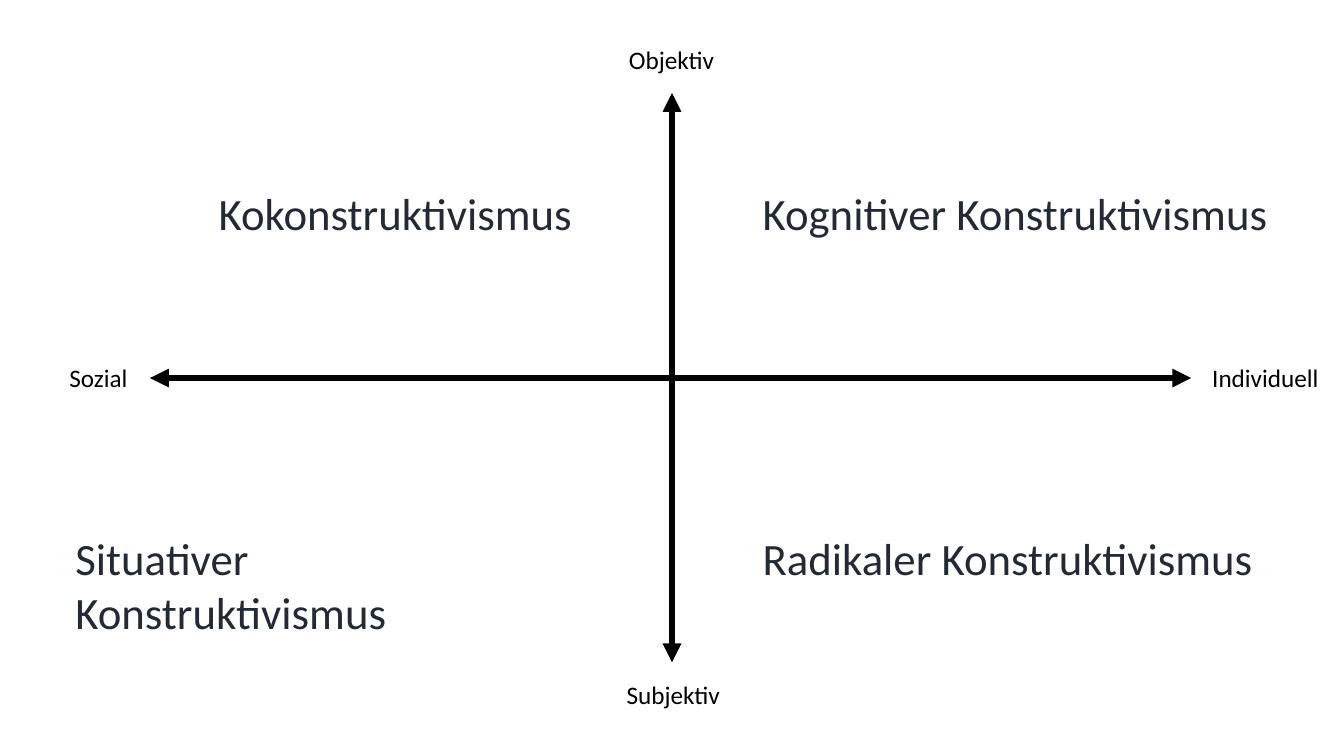
from lxml.etree import SubElement
from pptx import Presentation
from pptx.dml.color import RGBColor
from pptx.enum.shapes import MSO_CONNECTOR
from pptx.enum.text import MSO_AUTO_SIZE
from pptx.oxml.ns import qn
from pptx.util import Cm, Pt

COLORS = {"axis": "000000", "pole": "000000", "theory": "222A35"}
FONT = "Calibri"
WIDTH, HEIGHT = 33.87, 19.05
CENTER_X, CENTER_Y = WIDTH / 2, HEIGHT / 2
RIGHT_COLUMN, LOWER_ROW = 18.97, 13.26

AXES = [
    (CENTER_X, 2.34, CENTER_X, 16.69),
    (3.78, CENTER_Y, 30.02, CENTER_Y),
]
POLES = [
    ("Objektiv", 15.6, 0.99, 2.69),
    ("Subjektiv", 15.54, 16.99, 2.9),
    ("Sozial", 1.5, 9.01, 1.98),
    ("Individuell", 30.3, 9.01, 3.23),
]
THEORIES = [
    ("Kokonstruktivismus", 5.26, 4.56, 9.53),
    ("Kognitiver Konstruktivismus", RIGHT_COLUMN, 4.56, 13.39),
    ("Radikaler Konstruktivismus", RIGHT_COLUMN, LOWER_ROW, 13),
    ("Situativer\nKonstruktivismus", 1.65, LOWER_ROW, 8.43),
]


def add_text(slide, text, *, left, top, width, size, color):
    lines = text.split("\n")
    height = 0.25 + len(lines) * size * 0.043
    shape = slide.shapes.add_textbox(Cm(left), Cm(top), Cm(width), Cm(height))
    frame = shape.text_frame
    frame.word_wrap = False
    frame.auto_size = MSO_AUTO_SIZE.SHAPE_TO_FIT_TEXT
    frame.text = text
    for paragraph in frame.paragraphs:
        font = paragraph.runs[0].font
        font.name = FONT
        font.size = Pt(size)
        font.color.rgb = RGBColor.from_string(color)


def add_axis(slide, ends):
    connector = slide.shapes.add_connector(
        MSO_CONNECTOR.STRAIGHT, *(Cm(value) for value in ends)
    )
    connector.line.width = Pt(4.5)
    connector.line.color.rgb = RGBColor.from_string(COLORS["axis"])
    line = connector.line._get_or_add_ln()
    for arrowhead in ("a:headEnd", "a:tailEnd"):
        SubElement(line, qn(arrowhead), type="triangle")
    SubElement(connector._element.spPr, qn("a:effectLst"))


presentation = Presentation()
presentation.slide_width = Cm(WIDTH)
presentation.slide_height = Cm(HEIGHT)
slide = presentation.slides.add_slide(presentation.slide_layouts[6])

for ends in AXES:
    add_axis(slide, ends)

for labels, size, role in [(POLES, 18, "pole"), (THEORIES, 32, "theory")]:
    for text, left, top, width in labels:
        add_text(slide, text, left=left, top=top, width=width,
                 size=size, color=COLORS[role])

presentation.save("out.pptx")
